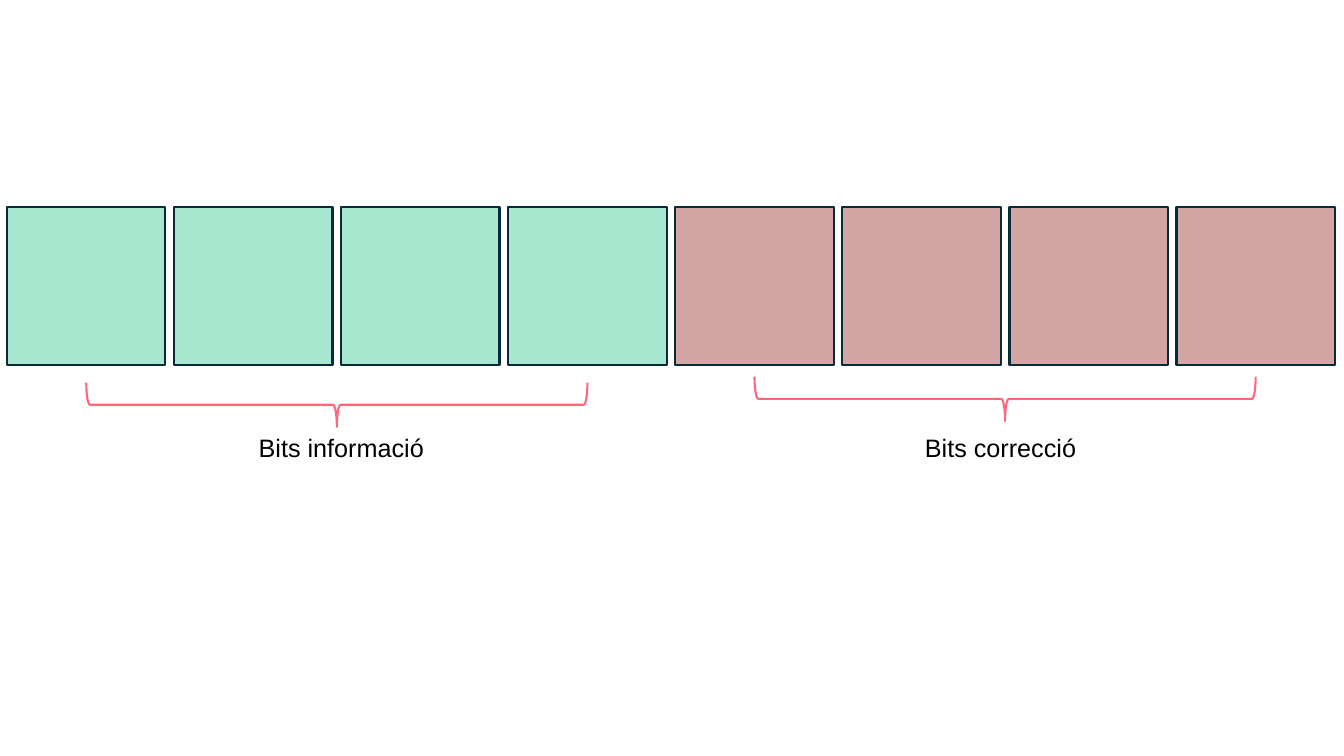
import pptx
import pptx.dml.color
import pptx.enum.shapes
import pptx.enum.text
import pptx.util
from dataclasses import dataclass

Cm = pptx.util.Cm
Shapes = pptx.enum.shapes.MSO_SHAPE


@dataclass(frozen=True)
class Theme:
    information: str = "A8E6CF"
    correction: str = "D4A5A5"
    outline: str = "092A39"
    brace: str = "FF677D"
    text: str = "000000"
    font: str = "Arial"
    text_size: float = 18
    line_width: float = 1.5


def rgb(value):
    return pptx.dml.color.RGBColor.from_string(value)


class BitDiagram:
    """Draws bit cells, braces and labels on one slide in one style."""

    def __init__(self, slide, theme):
        self.slide = slide
        self.theme = theme

    def outlined_shape(self, kind, left, top, width, height, line_color):
        shape = self.slide.shapes.add_shape(
            kind, Cm(left), Cm(top), Cm(width), Cm(height))
        shape.shadow.inherit = False
        shape.line.color.rgb = rgb(line_color)
        shape.line.width = pptx.util.Pt(self.theme.line_width)
        return shape

    def cell(self, left, top, size, fill):
        shape = self.outlined_shape(
            Shapes.RECTANGLE, left, top, size, size, self.theme.outline)
        shape.fill.solid()
        shape.fill.fore_color.rgb = rgb(fill)

    def brace(self, center_x, center_y, span, depth):
        """Place a left brace turned so that its tip points down."""
        shape = self.outlined_shape(
            Shapes.LEFT_BRACE, center_x - depth / 2, center_y - span / 2,
            depth, span, self.theme.brace)
        shape.fill.background()
        shape.rotation = 270

    def label(self, text, left, top, width, height):
        box = self.slide.shapes.add_textbox(
            Cm(left), Cm(top), Cm(width), Cm(height))
        frame = box.text_frame
        frame.word_wrap = False
        frame.auto_size = pptx.enum.text.MSO_AUTO_SIZE.SHAPE_TO_FIT_TEXT
        paragraph = frame.paragraphs[0]
        paragraph.text = text
        paragraph.font.name = self.theme.font
        paragraph.font.size = pptx.util.Pt(self.theme.text_size)
        paragraph.font.color.rgb = rgb(self.theme.text)


def main():
    presentation = pptx.Presentation()
    presentation.slide_width = Cm(33.87)
    presentation.slide_height = Cm(19.05)
    slide = presentation.slides.add_slide(presentation.slide_layouts[6])
    theme = Theme()
    diagram = BitDiagram(slide, theme)

    # Row of equal cells, four to a group
    row_left, row_top, cell_size, pitch = 0.18, 5.21, 3.99, 4.21
    cells_per_group = 4
    brace_span = (cells_per_group - 1) * pitch

    # Label, fill, brace height, label left and width
    groups = [
        ("Bits informació", theme.information, 10.2, 6.27, 4.67),
        ("Bits correcció", theme.correction, 10.05, 23.06, 4.37),
    ]
    for index, (text, fill, brace_y, label_left, label_width) in enumerate(groups):
        group_left = row_left + index * cells_per_group * pitch
        for position in range(cells_per_group):
            diagram.cell(group_left + position * pitch, row_top, cell_size, fill)

        # Brace from the first cell's middle to the last cell's middle
        group_center = group_left + (brace_span + cell_size) / 2
        diagram.brace(group_center, brace_y, brace_span, 1.12)
        diagram.label(text, label_left, 10.77, label_width, 1.02)

    presentation.save("out.pptx")


if __name__ == "__main__":
    main()
